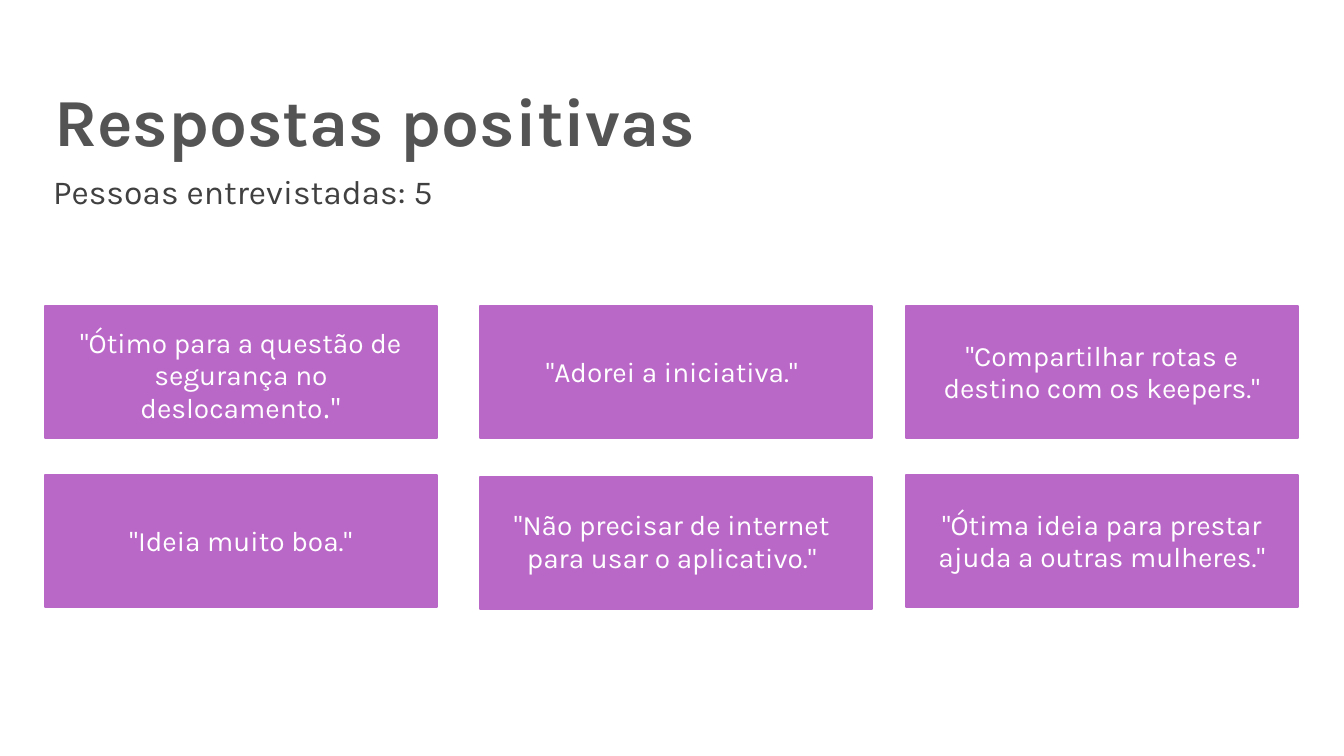
"""Build the slide of positive interview answers."""
import pptx
import pptx.dml.color
import pptx.enum.shapes
import pptx.enum.text
import pptx.oxml.ns
import pptx.util
from lxml import etree

PX = 914400 / 100.8
COLORS = {"title": "545454", "subtitle": "404040", "card": "BA68C8", "quote": "FFFFFF"}
FONT = "Karla"

TITLE = "Respostas positivas"
SUBTITLE = "Pessoas entrevistadas: 5"
CARD_W, CARD_H = 392, 132
COLUMNS = [45, 480, 906]
ROWS = [306, 475]
INSETS = [(20, 20), (16, 24), (20, 20)]
QUOTES = [
    [
        [('"Ótimo para a questão de segurança no deslocamento', FONT), ('."', "Open Sans")],
        [('"Adorei a iniciativa."', FONT)],
        [('"Compartilhar rotas e destino com os keepers."', FONT)],
    ],
    [
        [('"Ideia muito boa."', FONT)],
        [('"Não precisar de internet para usar o aplicativo."', FONT)],
        [('"Ótima ideia para prestar ajuda a outras mulheres."', FONT)],
    ],
]
NUDGE_Y = {(1, 1): 2}
TEXT_DROP = {(0, 0): 3, (1, 1): -2}


def px(n):
    return pptx.util.Emu(round(n * PX))


def rgb(name):
    return pptx.dml.color.RGBColor.from_string(COLORS[name])


def place(sp, left, top, width, height):
    sp.left, sp.top, sp.width, sp.height = px(left), px(top), px(width), px(height)


def set_frame(tf, left, top, right, bottom, anchor):
    tf.word_wrap = True
    tf.auto_size = pptx.enum.text.MSO_AUTO_SIZE.NONE
    tf.vertical_anchor = anchor
    tf.margin_left, tf.margin_top = px(left), px(top)
    tf.margin_right, tf.margin_bottom = px(right), px(bottom)


def write(p, runs, size, color, align, spacing=None, bold=False):
    p.alignment = align
    p.space_before = pptx.util.Pt(0)
    if spacing:
        p.line_spacing = pptx.util.Pt(spacing)
    for text, font in runs:
        r = p.add_run()
        r.text = text
        r.font.name = font
        r.font.size = pptx.util.Pt(size)
        r.font.bold = bold
        r.font.color.rgb = rgb(color)


def add_card(s, row, col, runs):
    sp = s.shapes.add_shape(
        pptx.enum.shapes.MSO_SHAPE.RECTANGLE,
        px(COLUMNS[col]), px(ROWS[row] + NUDGE_Y.get((row, col), 0)),
        px(CARD_W), px(CARD_H),
    )
    sp.shadow.inherit = False
    sp.fill.solid()
    sp.fill.fore_color.rgb = rgb("card")
    sp.line.color.rgb = rgb("card")
    sp.line.width = pptx.util.Pt(1)
    left, right = INSETS[col]
    drop = TEXT_DROP.get((row, col), 0)
    set_frame(sp.text_frame, left, max(0, 2 * drop), right, max(0, -2 * drop), ANCHOR.MIDDLE)
    write(sp.text_frame.paragraphs[0], runs, 20, "quote", ALIGN.CENTER, 23.3)


ANCHOR = pptx.enum.text.MSO_ANCHOR
ALIGN = pptx.enum.text.PP_ALIGN

prs = pptx.Presentation()
prs.slide_width, prs.slide_height = px(1344), px(756)
s = prs.slides.add_slide(prs.slide_layouts[1])

title = s.shapes.title
place(title, 44, 74, 695, 92)
set_frame(title.text_frame, 10, 5, 10, 5, ANCHOR.TOP)
write(title.text_frame.paragraphs[0], [(TITLE, FONT)], 48, "title", ALIGN.LEFT, bold=True)

subtitle = s.placeholders[1]
place(subtitle, 45, 175, 579, 36)
set_frame(subtitle.text_frame, 8, 0, 0, 0, ANCHOR.TOP)
p = subtitle.text_frame.paragraphs[0]
write(p, [(SUBTITLE, FONT)], 24, "subtitle", ALIGN.LEFT, 26.1)
pPr = p._p.get_or_add_pPr()
pPr.set("marL", "0")
pPr.set("indent", "0")
etree.SubElement(pPr, pptx.oxml.ns.qn("a:buNone"))

for row, quotes in enumerate(QUOTES):
    for col, runs in enumerate(quotes):
        add_card(s, row, col, runs)

prs.save("out.pptx")
